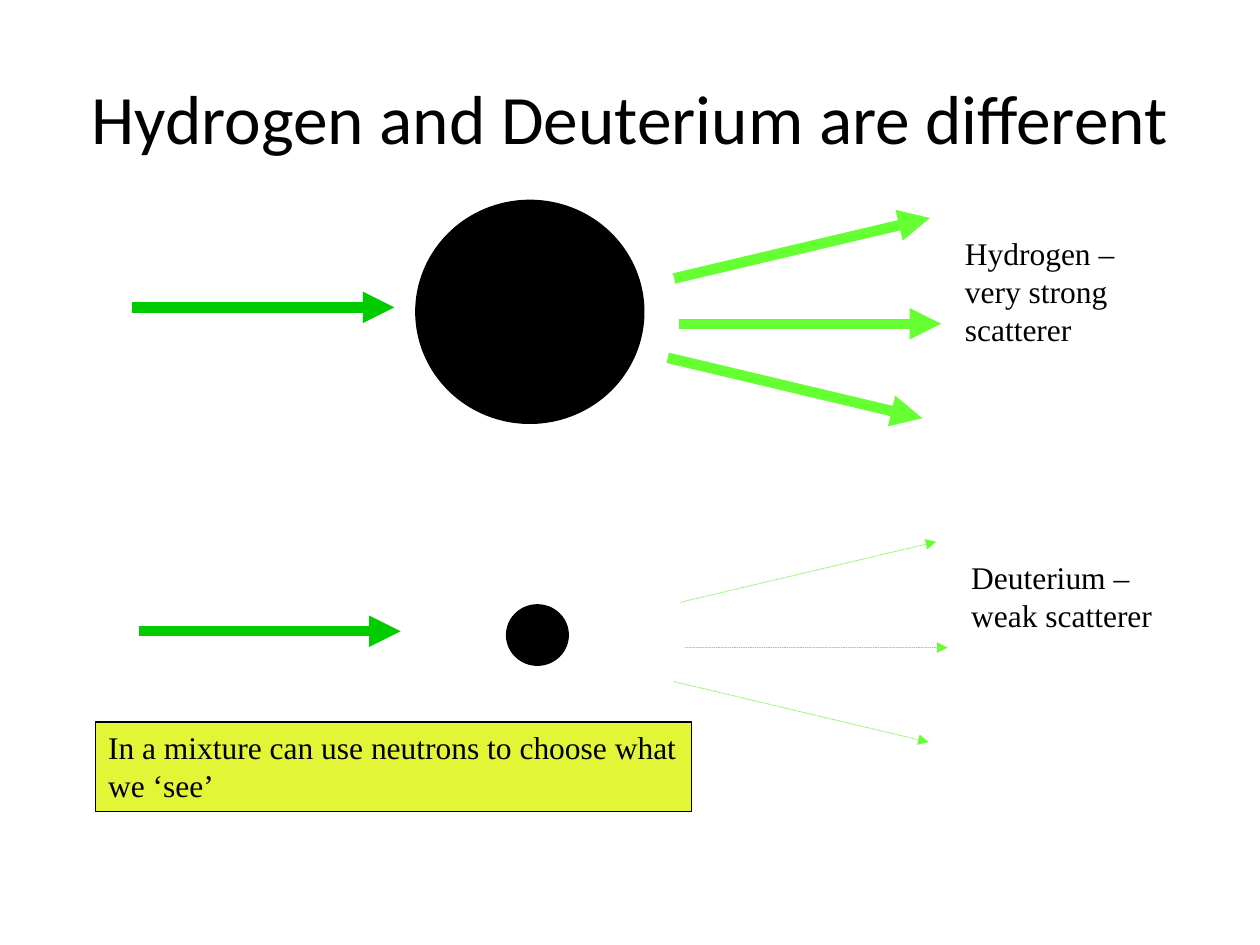
from dataclasses import dataclass

from lxml import etree
from pptx import Presentation
from pptx.dml.color import RGBColor
from pptx.enum.dml import MSO_LINE
from pptx.enum.shapes import MSO_CONNECTOR, MSO_SHAPE
from pptx.enum.text import MSO_ANCHOR, PP_ALIGN
from pptx.oxml.ns import qn
from pptx.util import Inches, Pt

OVAL, RECTANGLE = MSO_SHAPE.OVAL, MSO_SHAPE.RECTANGLE
STRAIGHT = MSO_CONNECTOR.STRAIGHT
DOTTED = MSO_LINE.ROUND_DOT
LEFT, CENTER = PP_ALIGN.LEFT, PP_ALIGN.CENTER
TOP, MIDDLE = MSO_ANCHOR.TOP, MSO_ANCHOR.MIDDLE


@dataclass(frozen=True)
class Theme:
    black: RGBColor = RGBColor(0x00, 0x00, 0x00)
    beam: RGBColor = RGBColor(0x00, 0xCC, 0x00)
    scattered: RGBColor = RGBColor(0x66, 0xFF, 0x33)
    highlight: RGBColor = RGBColor(0xE3, 0xF5, 0x37)
    title_font: str = "Calibri"
    body_font: str = "Times New Roman"
    title_size: float = 39.6
    body_size: float = 18
    outline: float = 0.75
    strong_line: float = 6
    weak_line: float = 0.5


THEME = Theme()

# Scattered arrows as start and end, relative to the row's corner
SCATTERED_ARROWS = [
    ((4.25, 1.25), (6.27, 1.73)),
    ((4.34, 0.98), (6.42, 0.98)),
    ((4.30, 0.62), (6.33, 0.14)),
]


def write_text(shape, text, font=THEME.body_font, size=THEME.body_size,
               align=LEFT, anchor=TOP):
    frame = shape.text_frame
    frame.word_wrap = True
    frame.vertical_anchor = anchor
    paragraph = frame.paragraphs[0]
    paragraph.text = text
    paragraph.alignment = align
    paragraph.font.name = font
    paragraph.font.size = Pt(size)
    paragraph.font.color.rgb = THEME.black


def add_text_box(slide, box, text, **text_format):
    text_box = slide.shapes.add_textbox(*map(Inches, box))
    write_text(text_box, text, **text_format)


def add_filled_shape(slide, kind, box, color):
    shape = slide.shapes.add_shape(kind, *map(Inches, box))
    shape.shadow.inherit = False
    shape.fill.solid()
    shape.fill.fore_color.rgb = color
    shape.line.color.rgb = THEME.black
    shape.line.width = Pt(THEME.outline)
    return shape


def add_arrow(shapes, start, end, color, width, dash=None):
    arrow = shapes.add_connector(STRAIGHT, *map(Inches, (*start, *end)))
    arrow.line.color.rgb = color
    arrow.line.width = Pt(width)
    if dash is not None:
        arrow.line.dash_style = dash
    properties = arrow.element.spPr
    etree.SubElement(properties.find(qn("a:ln")), qn("a:tailEnd"), type="triangle")
    etree.SubElement(properties, qn("a:effectLst"))


def add_scattering_row(slide, left, top, label, atom, line_width, dash=None):
    """One incoming beam, the atom it hits, and the scattered beams."""
    # Incoming beam
    beam_y = top + 0.85
    add_arrow(slide.shapes, (left, beam_y), (left + 2.08, beam_y),
              THEME.beam, THEME.strong_line)

    # Atom
    atom_left, atom_top, atom_width, atom_height = atom
    add_filled_shape(slide, OVAL,
                     (left + atom_left, top + atom_top, atom_width, atom_height),
                     THEME.black)

    # Label
    add_text_box(slide, (left + 6.51, top + 0.22, 1.86, 1.3), label)

    # Scattered beams
    group = slide.shapes.add_group_shape()
    for (start_x, start_y), (end_x, end_y) in SCATTERED_ARROWS:
        add_arrow(group.shapes, (left + start_x, top + start_y),
                  (left + end_x, top + end_y), THEME.scattered, line_width, dash)


def add_conclusion(slide, box, text):
    panel = add_filled_shape(slide, RECTANGLE, box, THEME.highlight)
    write_text(panel, text)


def main():
    presentation = Presentation()
    presentation.slide_width = Inches(10)
    presentation.slide_height = Inches(7.5)
    slide = presentation.slides.add_slide(presentation.slide_layouts[6])

    add_text_box(slide, (0.5, 0.3, 9, 1.25), "Hydrogen and Deuterium are different",
                 font=THEME.title_font, size=THEME.title_size,
                 align=CENTER, anchor=MIDDLE)
    add_scattering_row(slide, 1.05, 1.59, "Hydrogen – very strong scatterer",
                       atom=(2.25, 0, 1.81, 1.77), line_width=THEME.strong_line)
    add_scattering_row(slide, 1.1, 4.16, "Deuterium – weak scatterer",
                       atom=(2.92, 0.64, 0.49, 0.48), line_width=THEME.weak_line,
                       dash=DOTTED)
    add_conclusion(slide, (0.76, 5.73, 4.73, 0.71),
                   "In a mixture can use neutrons to choose what we ‘see’")

    presentation.save("out.pptx")


if __name__ == "__main__":
    main()
